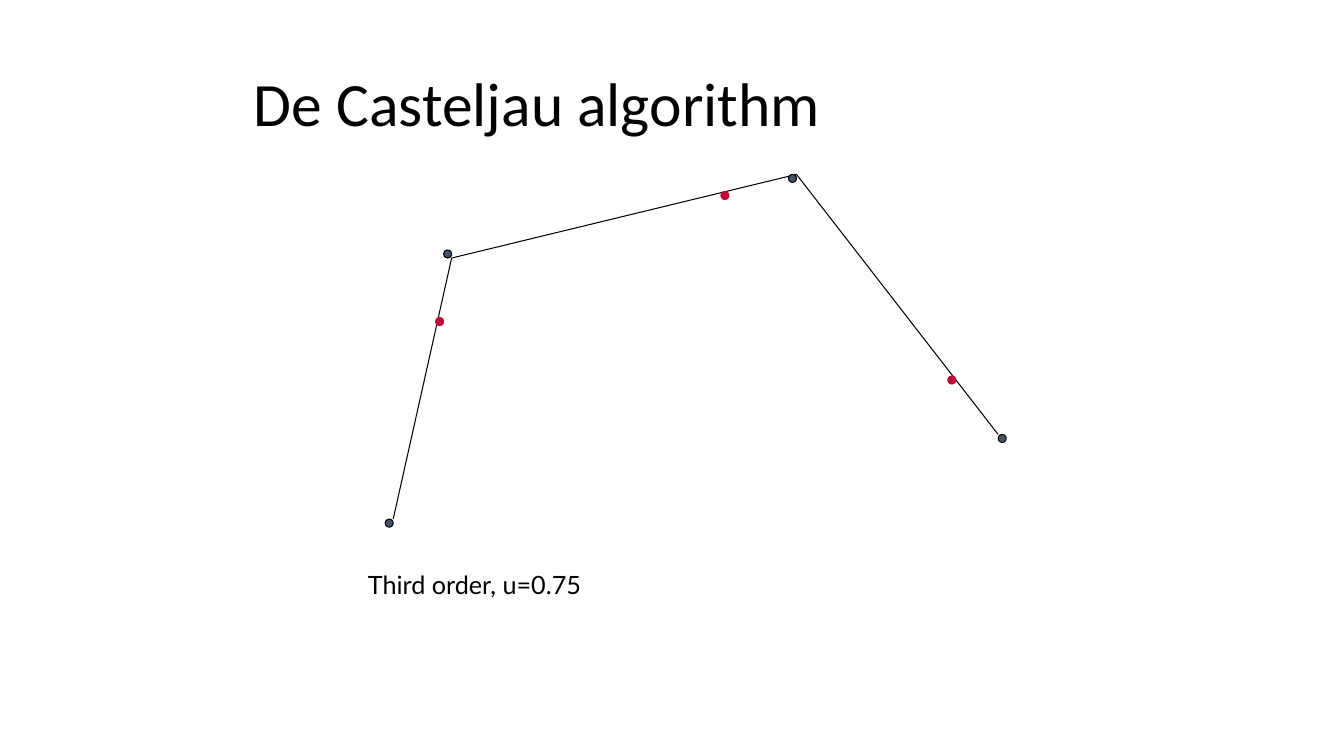
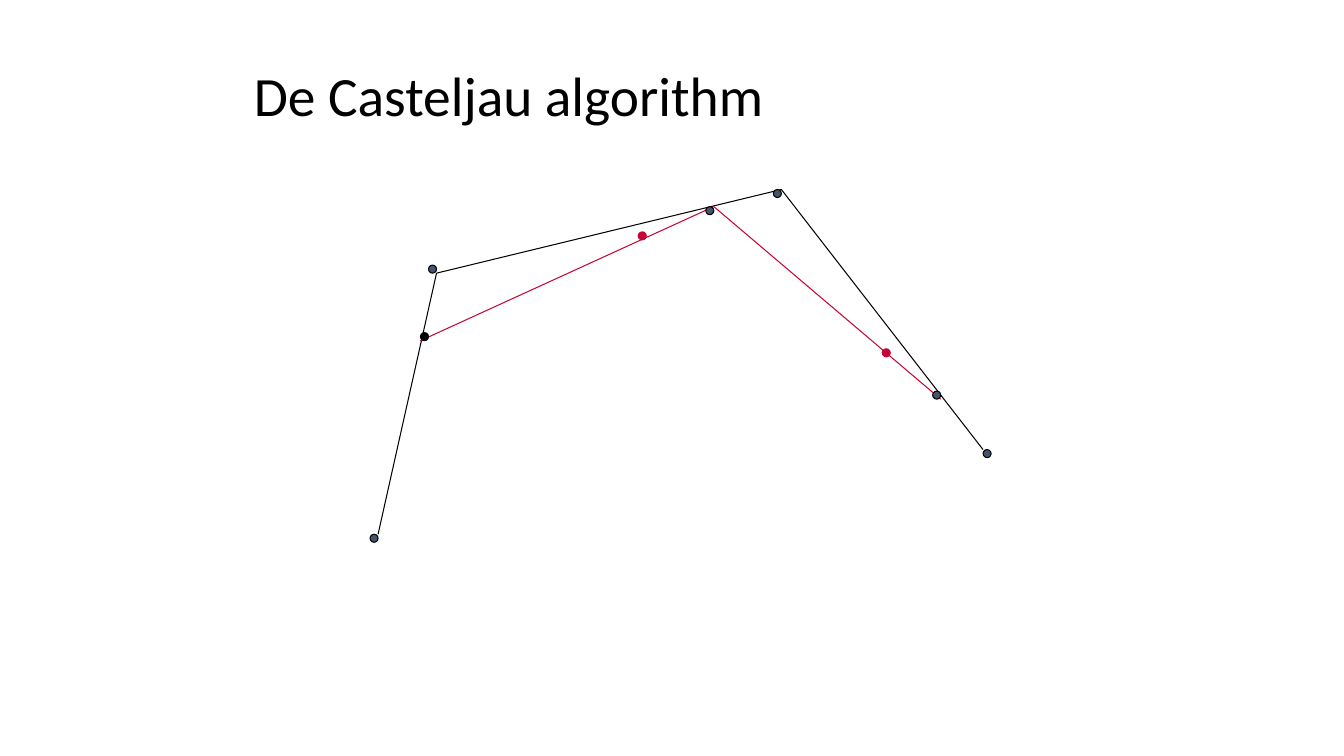
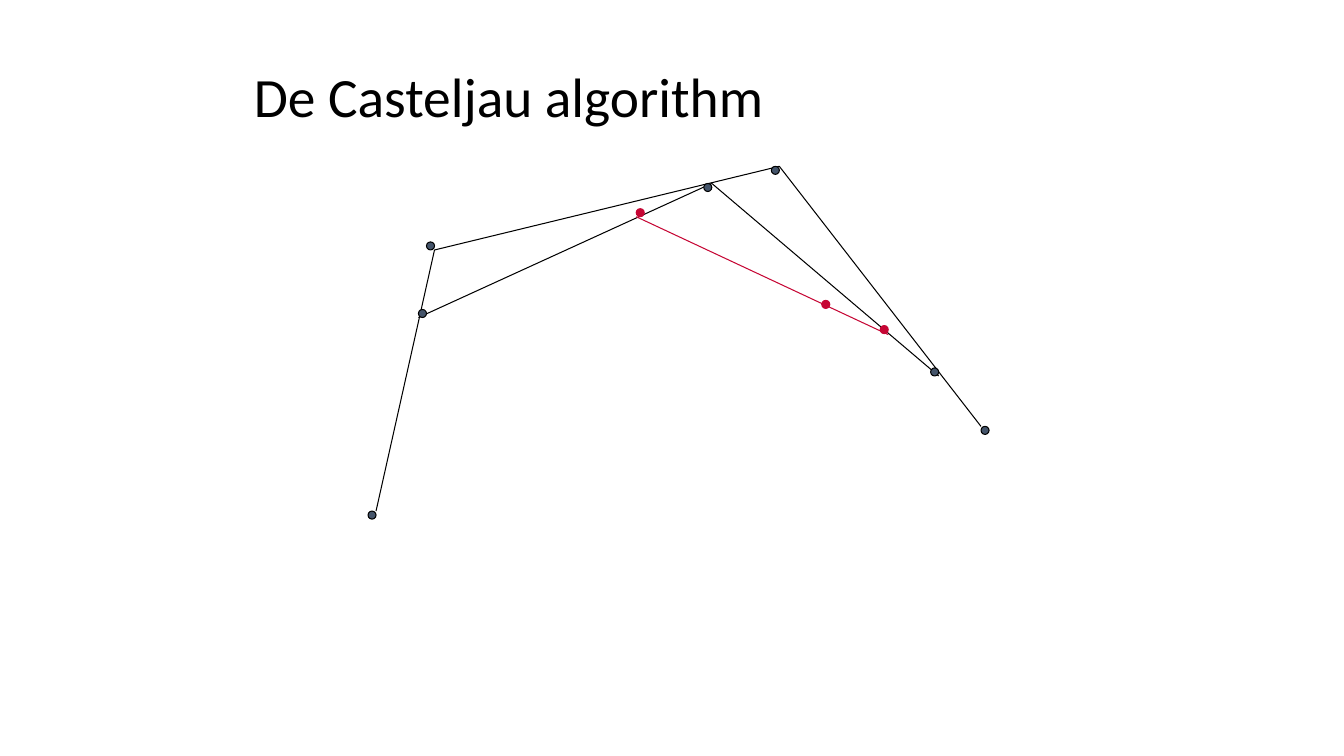
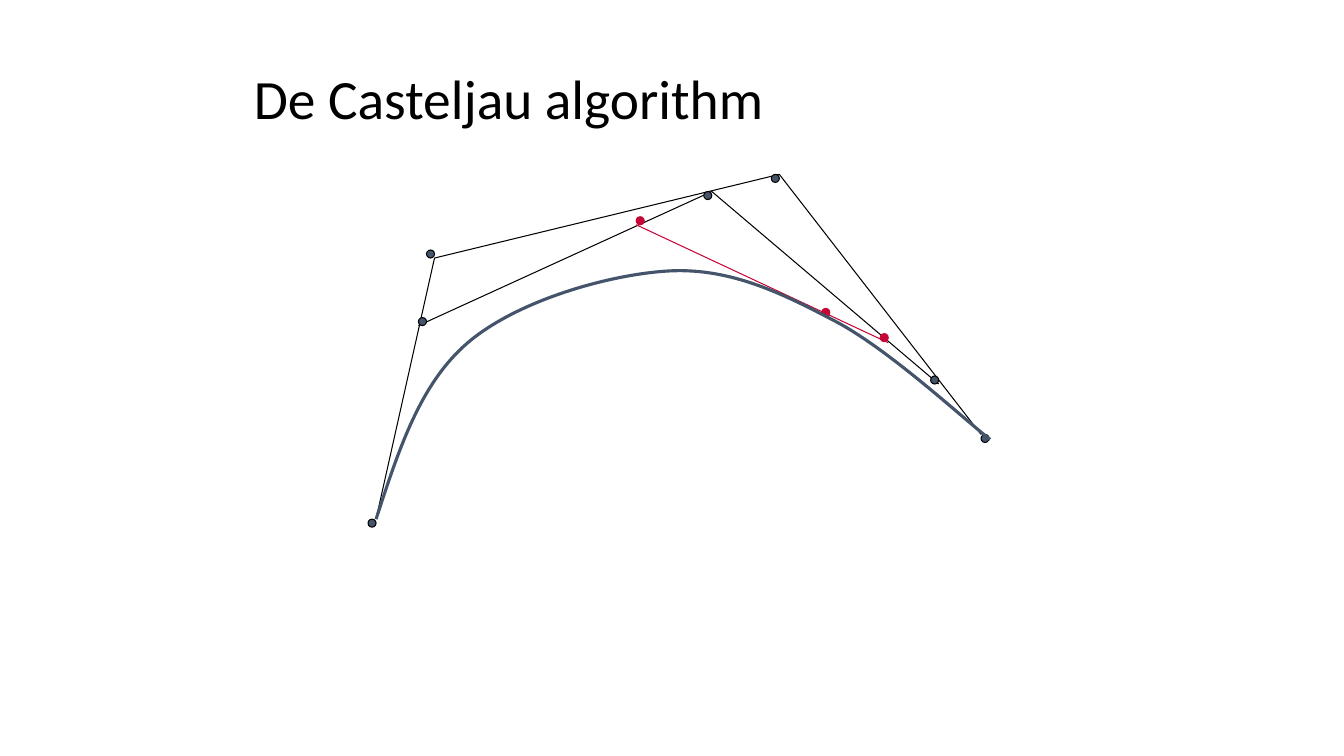
from dataclasses import dataclass
from itertools import pairwise
from typing import Any, Optional

from lxml.etree import SubElement
from pptx import Presentation
from pptx.dml.color import RGBColor
from pptx.dml.line import LineFormat
from pptx.enum.shapes import MSO_CONNECTOR, MSO_SHAPE
from pptx.enum.text import MSO_ANCHOR
from pptx.oxml.ns import qn
from pptx.shapes.autoshape import Shape
from pptx.shapes.shapetree import GroupShapes
from pptx.slide import Slide
from pptx.util import Inches, Pt

Point = tuple[float, float]


@dataclass(frozen=True)
class Theme:
    black: RGBColor = RGBColor(0x00, 0x00, 0x00)
    red: RGBColor = RGBColor(0xC6, 0x06, 0x34)
    slate: RGBColor = RGBColor(0x44, 0x54, 0x6A)
    title_font: str = "Calibri"
    caption_font: str = "Lato"
    caption_size: float = 18
    thin: float = 0.75
    thick: float = 2.25
    dot: float = 0.08


@dataclass(frozen=True)
class Step:
    """One slide: how many interpolation levels show, and where."""
    level: int
    origin: Point
    title_height: float
    title_size: float = 39.6
    caption: str = ""
    first_dot: Optional[RGBColor] = None
    curve: bool = False


THEME = Theme()

# Geometry, in inches from the top left of the control polygon
POLYGON: list[Point] = [(0, 3.42), (0.58, 0.83), (4, 0), (6, 2.58)]
DOTS: list[list[Point]] = [
    [(-0.08, 3.42), (0.5, 0.75), (3.92, 0), (6, 2.58)],
    [(0.42, 1.42), (3.25, 0.17), (5.5, 2)],
    [(2.58, 0.42), (5, 1.58)],
    [(4.42, 1.33)],
]
CHORDS: dict[int, list[Point]] = {
    1: [(0.42, 1.5), (3.33, 0.17), (5.58, 2.08)],
    2: [(2.58, 0.5), (5.08, 1.67)],
}
# Start point, then two handles and an end point for each Bézier segment
CURVE: list[Point] = [
    (0, 3.42),
    (0.22, 2.75), (0.43, 2.08), (0.91, 1.67),
    (1.39, 1.26), (2.28, 1), (2.88, 0.96),
    (3.48, 0.92), (3.99, 1.16), (4.52, 1.44),
    (5.06, 1.71), (5.83, 2.43), (6.09, 2.63),
]

STEPS = [
    Step(1, (3.9, 1.73), 0.77, title_size=44, caption="Third order, u=0.75"),
    Step(2, (3.75, 1.88), 0.62, first_dot=THEME.black),
    Step(3, (3.73, 1.65), 0.63),
    Step(3, (3.73, 1.73), 0.68, curve=True),
]


def set_format(obj: Any, formats: dict[str, Any]) -> None:
    for name, value in formats.items():
        setattr(obj, name, value)


def set_line(line: LineFormat, color: RGBColor, width: float = THEME.thin) -> None:
    line.color.rgb = color
    line.width = Pt(width)


def place(point: Point, origin: Point) -> tuple[int, int]:
    return Inches(origin[0] + point[0]), Inches(origin[1] + point[1])


def add_text(shapes: GroupShapes, box: tuple[float, float, float, float], text: str,
             frame: dict[str, Any], para: dict[str, Any], font: dict[str, Any]) -> None:
    tf = shapes.add_textbox(*map(Inches, box)).text_frame
    p = tf.paragraphs[0]
    r = p.add_run()
    r.text = text
    for obj, formats in ((tf, frame), (p, para), (r.font, font)):
        set_format(obj, formats)
    r.font.color.rgb = THEME.black


def add_outline(shapes: GroupShapes, points: list[Point], origin: Point,
                color: RGBColor, width: float = THEME.thin) -> Shape:
    start, *rest = [place(point, origin) for point in points]
    builder = shapes.build_freeform(*start)
    builder.add_line_segments(rest, close=False)
    sp = builder.convert_to_shape()
    sp.shadow.inherit = False
    sp.fill.background()
    set_line(sp.line, color, width)
    return sp


def bend(sp: Shape) -> None:
    """Turn each three straight segments into one cubic Bézier segment."""
    outline = sp._element.find(".//" + qn("a:path"))
    segments = outline.findall(qn("a:lnTo"))
    for i in range(0, len(segments), 3):
        cubic = SubElement(outline, qn("a:cubicBezTo"))
        for segment in segments[i:i + 3]:
            cubic.append(segment[0])
            outline.remove(segment)


def add_chord(shapes: GroupShapes, start: Point, end: Point, origin: Point,
              color: RGBColor) -> None:
    line = shapes.add_connector(MSO_CONNECTOR.STRAIGHT,
                                *place(start, origin), *place(end, origin))
    SubElement(line._element.spPr, qn("a:effectLst"))
    set_line(line.line, color)


def add_dot(shapes: GroupShapes, point: Point, origin: Point,
            fill: RGBColor, line: RGBColor) -> None:
    size = Inches(THEME.dot)
    sp = shapes.add_shape(MSO_SHAPE.OVAL, *place(point, origin), size, size)
    sp.shadow.inherit = False
    sp.fill.solid()
    sp.fill.fore_color.rgb = fill
    set_line(sp.line, line)


def draw_step(s: Slide, step: Step) -> None:
    # Title
    add_text(s.shapes, (2.42, 0.67, 8.5, step.title_height), "De Casteljau algorithm",
             {"word_wrap": True, "vertical_anchor": MSO_ANCHOR.MIDDLE},
             {"line_spacing": 0.9},
             {"name": THEME.title_font, "size": Pt(step.title_size)})

    # Control polygon and chords; the newest chords are red
    shapes = s.shapes.add_group_shape().shapes
    add_outline(shapes, POLYGON, step.origin, THEME.black)
    for level in range(1, step.level):
        color = THEME.red if level == step.level - 1 else THEME.black
        for start, end in pairwise(CHORDS[level]):
            add_chord(shapes, start, end, step.origin, color)

    # Points of each level; the active ones are red
    for level, points in enumerate(DOTS[:step.level + 1]):
        active = level >= min(step.level, 2)
        for i, point in enumerate(points):
            fill = THEME.red if active else THEME.slate
            if (level, i) == (1, 0) and step.first_dot is not None:
                fill = step.first_dot
            add_dot(shapes, point, step.origin, fill,
                    THEME.red if active else THEME.black)

    # Resulting curve and caption
    if step.curve:
        bend(add_outline(shapes, CURVE, step.origin, THEME.slate, THEME.thick))
    if step.caption:
        add_text(shapes, (3.55, 5.6, 2.38, 0.4), step.caption, {"word_wrap": False}, {},
                 {"name": THEME.caption_font, "size": Pt(THEME.caption_size)})


def main() -> None:
    prs = Presentation()
    set_format(prs, {"slide_width": Inches(13.33), "slide_height": Inches(7.5)})
    for step in STEPS:
        draw_step(prs.slides.add_slide(prs.slide_layouts[6]), step)
    prs.save("out.pptx")


if __name__ == "__main__":
    main()
